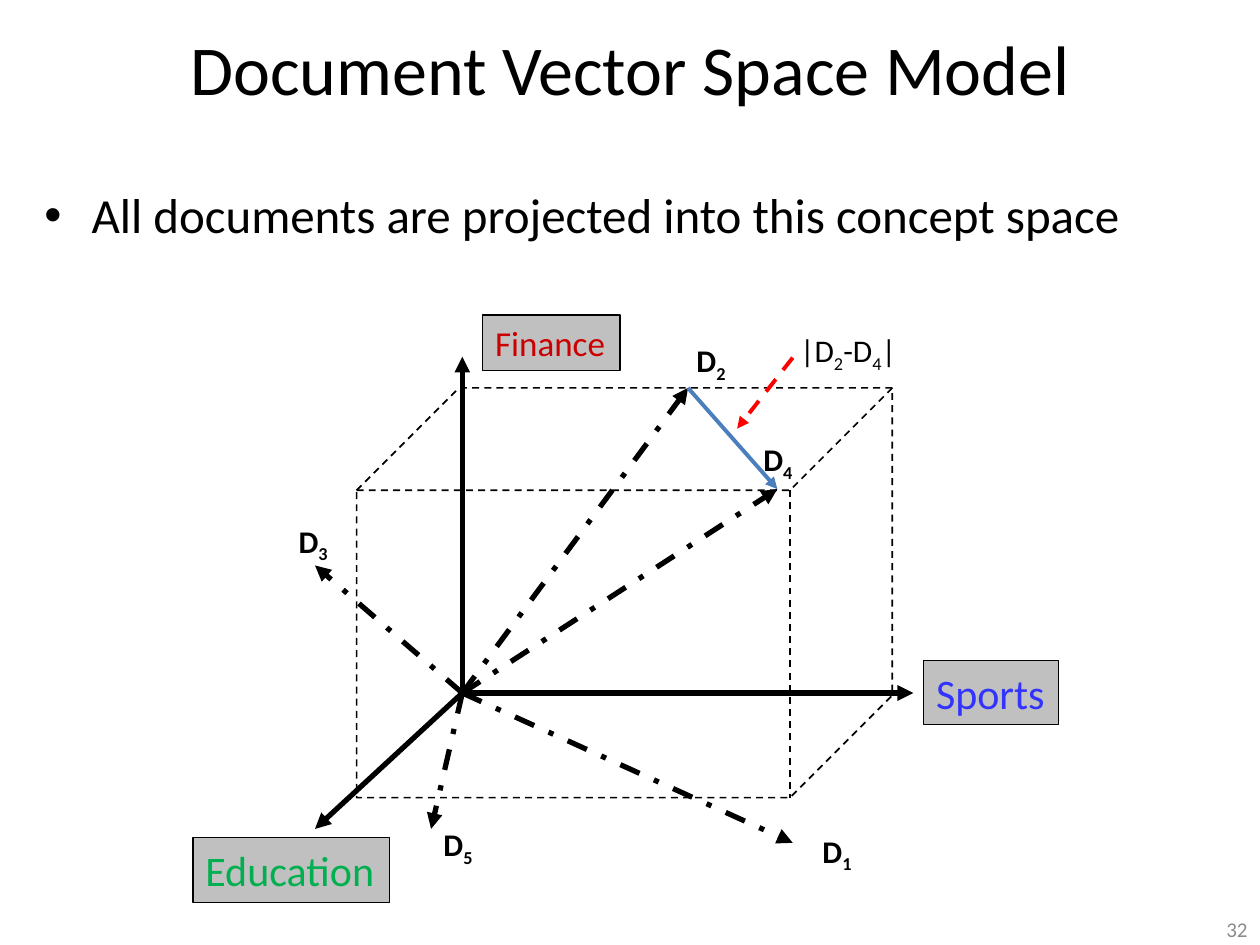
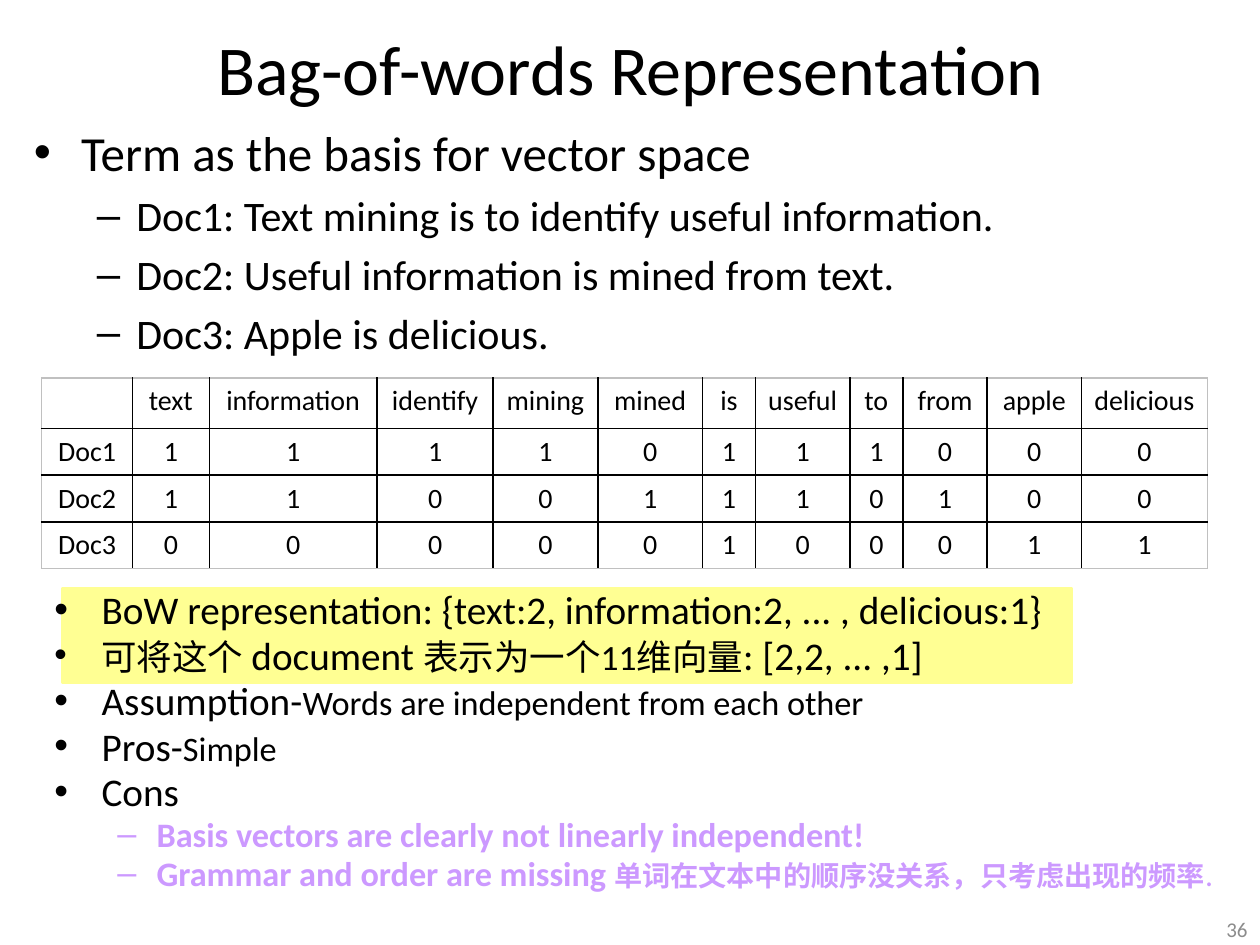
from lxml import etree
from pptx import Presentation
from pptx.dml.color import RGBColor
from pptx.enum import dml, shapes, text
from pptx.oxml import ns
from pptx.util import Cm, Pt

FONT = "Calibri"
BLACK, GREY, RED = "000000", "C0C0C0", "FF0000"
BLUE, YELLOW, PURPLE, NUMBER_GREY = "4B7EBC", "FFFF93", "CC99FF", "8C8C8C"
TITLE_BOX = (0, 0, 25.4, 2.74)
NUMBER_BOX = (19.48, 18.42, 5.92, 0.63)
DASH, DASH_DOT = dml.MSO_LINE.DASH, dml.MSO_LINE.DASH_DOT


def color(hex_string):
    return RGBColor.from_string(hex_string)


def lengths(box):
    return [Cm(value) for value in box]


def place(shape, box):
    shape.left, shape.top, shape.width, shape.height = lengths(box)


def shift(box, left, top):
    """Turn a point or box relative to a region's corner into slide terms."""
    return (box[0] + left, box[1] + top, *box[2:])


def format_runs(paragraph, size, hex_string=BLACK, bold=False):
    for run in paragraph.runs:
        run.font.name = FONT
        run.font.size = Pt(size)
        run.font.bold = bold
        run.font.color.rgb = color(hex_string)


def add_label(slide, box, parts, size, hex_string=BLACK, bold=False, wrap=False):
    """Add a text box in which every part made of digits is a subscript."""
    label = slide.shapes.add_textbox(*lengths(box))
    label.text_frame.word_wrap = wrap
    paragraph = label.text_frame.paragraphs[0]
    for part in parts:
        paragraph.add_run().text = part
    format_runs(paragraph, size, hex_string, bold)
    for run, properties in zip(paragraph.runs, label.element.iter(ns.qn("a:rPr"))):
        if run.text.isdigit():
            properties.set("baseline", "-25000")


def add_arrow(slide, start, end, hex_string=BLACK, width=3, dash=None):
    arrow = slide.shapes.add_connector(
        shapes.MSO_CONNECTOR.STRAIGHT, *lengths(start), *lengths(end))
    arrow.line.color.rgb = color(hex_string)
    arrow.line.width = Pt(width)
    if dash:
        arrow.line.dash_style = dash
    properties = arrow.element.spPr
    outline = properties.find(ns.qn("a:ln"))
    etree.SubElement(outline, ns.qn("a:tailEnd"), type="triangle")
    etree.SubElement(properties, ns.qn("a:effectLst"))


def add_box(slide, kind, box, fill, line, width, dash=None):
    shape = slide.shapes.add_shape(kind, *lengths(box))
    shape.shadow.inherit = False
    if fill:
        shape.fill.solid()
        shape.fill.fore_color.rgb = color(fill)
    else:
        shape.fill.background()
    shape.line.color.rgb = color(line)
    shape.line.width = Pt(width)
    if dash:
        shape.line.dash_style = dash
    return shape


def add_slide(presentation, layout_index, title, number):
    slide = presentation.slides.add_slide(presentation.slide_layouts[layout_index])
    heading = slide.shapes.title
    place(heading, TITLE_BOX)
    heading.text_frame.text = title
    heading.text_frame.vertical_anchor = text.MSO_ANCHOR.MIDDLE
    format_runs(heading.text_frame.paragraphs[0], 40)

    page = slide.shapes.add_textbox(*lengths(NUMBER_BOX))
    page.text_frame.text = number
    page.text_frame.word_wrap = True
    page.text_frame.vertical_anchor = text.MSO_ANCHOR.MIDDLE
    paragraph = page.text_frame.paragraphs[0]
    paragraph.alignment = text.PP_ALIGN.RIGHT
    format_runs(paragraph, 12, NUMBER_GREY)
    return slide


def fill_list(body, box, items):
    """Fill a body placeholder from (level, [(text, size), ...]) items."""
    place(body, box)
    frame = body.text_frame
    frame.auto_size = text.MSO_AUTO_SIZE.NONE
    for index, (level, parts) in enumerate(items):
        paragraph = frame.add_paragraph() if index else frame.paragraphs[0]
        paragraph.level = level
        for part, size in parts:
            run = paragraph.add_run()
            run.text = part
            run.font.name = FONT
            run.font.size = Pt(size)
            run.font.color.rgb = color(BLACK)
    return frame.paragraphs


def draw_concept_space(slide, left, top):
    origin = shift((5.51, 7.62), left, top)
    add_box(slide, shapes.MSO_SHAPE.CUBE, shift((3.38, 1.47, 10.8, 8.26), left, top),
            None, BLACK, 1, DASH)

    axes = [
        ("Education", (2.54, 10.36), (0.08, 10.54, 3.96, 1.3), 24, "00B050"),
        ("Sports", (14.6, 7.62), (14.81, 6.96, 2.72, 1.3), 24, "3333FF"),
        ("Finance", (5.51, 0.84), (5.92, 0, 2.77, 1.12), 20, "CC0000"),
    ]
    for name, tip, box, size, hex_string in axes:
        add_arrow(slide, origin, shift(tip, left, top))
        concept = add_box(slide, shapes.MSO_SHAPE.RECTANGLE, shift(box, left, top),
                          GREY, BLACK, 0.75)
        concept.text_frame.text = name
        concept.text_frame.word_wrap = False
        paragraph = concept.text_frame.paragraphs[0]
        paragraph.alignment = text.PP_ALIGN.LEFT
        format_runs(paragraph, size, hex_string)

    documents = {
        "4": ((11.86, 3.51), (11.33, 2.39)),
        "5": ((4.88, 10.36), (4.88, 10.16)),
        "2": ((10.06, 1.47), (9.98, 0.41)),
        "1": ((12.17, 10.64), (12.52, 10.29)),
        "3": ((2.54, 5.05), (1.96, 4.04)),
    }
    for number, (tip, corner) in documents.items():
        add_arrow(slide, origin, shift(tip, left, top), dash=DASH_DOT)
        add_label(slide, shift((*corner, 1.17, 1.02), left, top), ["D", number], 18, bold=True)

    tips = [shift(documents[number][0], left, top) for number in "24"]
    add_arrow(slide, *tips, BLUE, 2.25)
    add_label(slide, shift((12.07, 0.2, 2.54, 1.02), left, top),
              ["|D", "2", "-D", "4", "|"], 18, wrap=True)
    add_arrow(slide, shift((12.17, 0.86), left, top), shift((11.05, 2.29), left, top),
              RED, 2.25, DASH)


def set_border(cell, side, hex_string):
    properties = cell._tc.get_or_add_tcPr()
    border = etree.Element(ns.qn(f"a:ln{side}"), w=str(Pt(1)))
    fill = etree.SubElement(border, ns.qn("a:solidFill"))
    etree.SubElement(fill, ns.qn("a:srgbClr"), val=hex_string)
    properties.insert("LRTB".index(side), border)


def add_term_table(slide, left, top):
    header = ["", "text", "information", "identify", "mining", "mined", "is",
              "useful", "to", "from", "apple", "delicious"]
    counts = {"Doc1": "11110111000", "Doc2": "11001110100", "Doc3": "00000100011"}
    widths = [1.83, 1.55, 3.38, 2.34, 2.11, 2.11, 1.07, 1.9, 1.07, 1.7, 1.9, 2.54]
    heights = [1.02, 0.94, 0.94, 0.94]
    rows = [header] + [[name, *digits] for name, digits in counts.items()]
    table = slide.shapes.add_table(
        len(rows), len(header), *lengths((left, top, sum(widths), sum(heights)))).table
    table.first_row = table.horz_banding = False
    for column, width in zip(table.columns, widths):
        column.width = Cm(width)
    for row, height in zip(table.rows, heights):
        row.height = Cm(height)
    for i, values in enumerate(rows):
        for j, value in enumerate(values):
            cell = table.cell(i, j)
            cell.fill.background()
            cell.text_frame.text = value
            paragraph = cell.text_frame.paragraphs[0]
            paragraph.alignment = text.PP_ALIGN.CENTER
            paragraph.font.size = Pt(16)
            format_runs(paragraph, 16)
            outer = {"L": j == 0, "R": j == len(header) - 1,
                     "T": i == 0, "B": i == len(rows) - 1}
            for side, is_outer in outer.items():
                set_border(cell, side, GREY if is_outer else BLACK)


def add_bag_of_words_notes(slide, body, box):
    left, top = box[:2]
    highlight = add_box(slide, shapes.MSO_SHAPE.RECTANGLE,
                        shift((0.43, 0, 20.32, 1.9), left, top), YELLOW, YELLOW, 2)
    body.element.addprevious(highlight.element)
    paragraphs = fill_list(body, box, [
        (0, [("BoW representation: {text:2, information:2, ... , delicious:1}", 22.4)]),
        (0, [("可将这个 ", 20.3), ("document ", 22.4), ("表示为一个11维向量", 20.3),
             (": [2,2, ... ,1]", 22.4)]),
        (0, [("Assumption-", 22.4), ("Words are independent from each other", 19.6)]),
        (0, [("Pros-", 22.4), ("Simple", 19.6)]),
        (0, [("Cons", 22.4)]),
        (1, [("Basis vectors are clearly not linearly independent!", 19.6)]),
        (1, [("Grammar and order are missing ", 19.6),
             ("单词在文本中的顺序没关系，只考虑出现的频率", 16.1), (".", 18.2)]),
    ])
    body.text_frame.margin_right = 0
    for paragraph in paragraphs:
        paragraph.line_spacing = 0.8
        if paragraph.level:
            for run in paragraph.runs:
                run.font.color.rgb = color(PURPLE)
                run.font.bold = run.text != "."


def build_vector_space_slide(presentation):
    slide = add_slide(presentation, 1, "Document Vector Space Model", "32")
    fill_list(slide.placeholders[1], (0.64, 3.6, 24.13, 14.6),
              [(0, [("All documents are projected into this concept space", 28)])])
    draw_concept_space(slide, 3.81, 6.35)


def build_bag_of_words_slide(presentation):
    slide = add_slide(presentation, 3, "Bag-of-words Representation", "36")
    examples = ["Doc1: Text mining is to identify useful information.",
                "Doc2: Useful information is mined from text.",
                "Doc3: Apple is delicious."]
    fill_list(slide.placeholders[1], (0.43, 2.34, 24.56, 4.88),
              [(0, [("Term as the basis for vector space", 28)])]
              + [(1, [(example, 24)]) for example in examples])
    add_term_table(slide, 0.84, 7.62)
    add_bag_of_words_notes(slide, slide.placeholders[2], (0.84, 11.86, 24.13, 7.19))


def main():
    presentation = Presentation()
    presentation.slide_width, presentation.slide_height = Cm(25.4), Cm(19.05)
    build_vector_space_slide(presentation)
    build_bag_of_words_slide(presentation)
    presentation.save("out.pptx")


if __name__ == "__main__":
    main()
